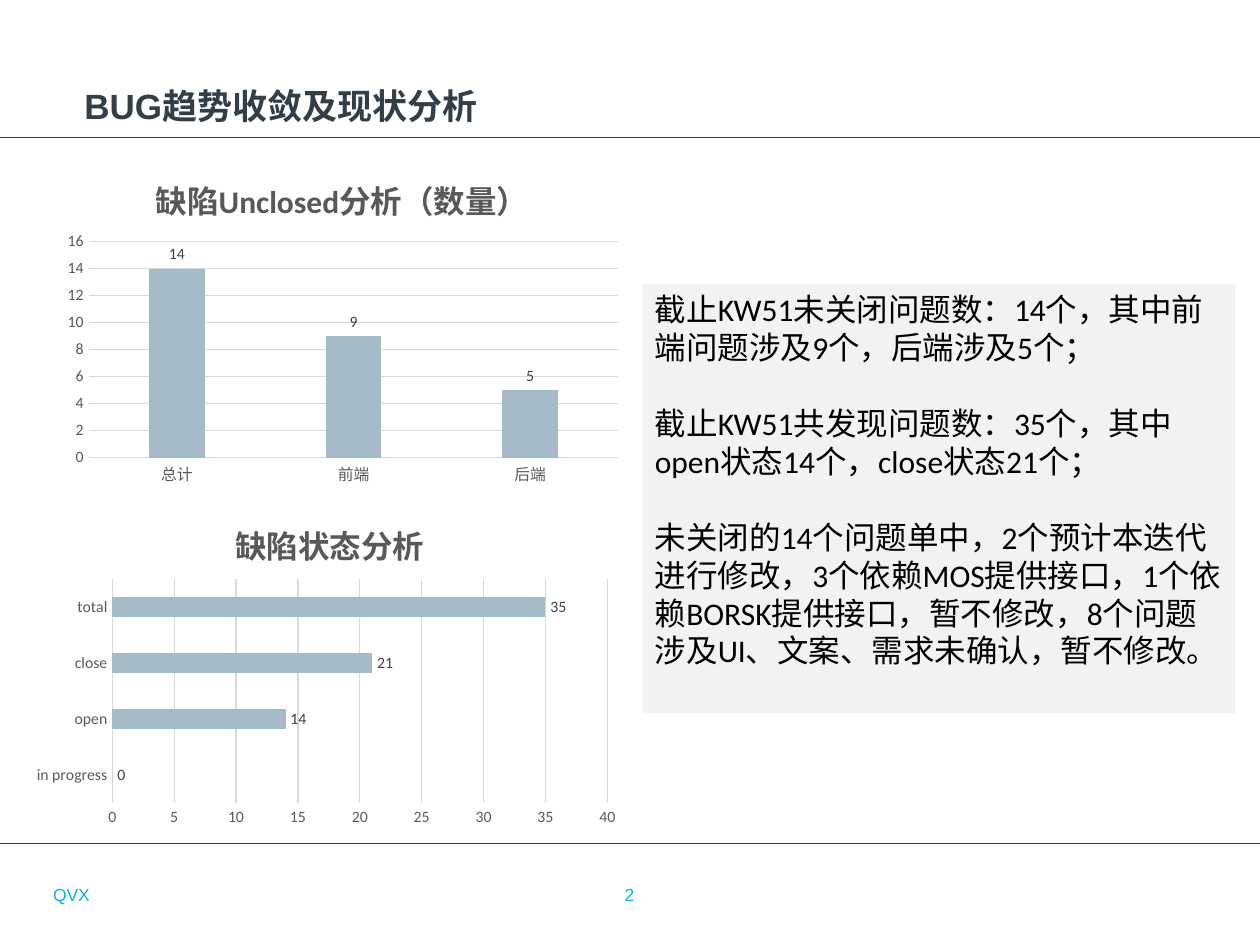
from lxml.etree import SubElement, Element
from pptx import Presentation
from pptx.chart.data import CategoryChartData
from pptx.dml.color import RGBColor
from pptx.enum.chart import XL_CHART_TYPE as ChartType, XL_LABEL_POSITION as LabelPos, XL_TICK_MARK as Tick
from pptx.enum.shapes import MSO_CONNECTOR as Connector
from pptx.enum.text import MSO_ANCHOR as Anchor, MSO_AUTO_SIZE as AutoSize, PP_ALIGN as Align
from pptx.oxml.ns import qn
from pptx.util import Cm, Pt

COLORS = {"navy": "333F48", "cyan": "00B5E2", "panel": "F2F2F2", "black": "000000",
          "grey": "595959", "grid": "D9D9D9", "label": "404040", "bar": "A6BBC8"}
SLIDE_WIDTH, SLIDE_HEIGHT = 25.4, 19.05


class SlideBuilder:
    def __init__(self, deck):
        self.slide = deck.slides.add_slide(deck.slide_layouts[5])
        self.heading_font = "Arial"
        self.body_font = "Calibri"

    def color(self, name):
        return RGBColor.from_string(COLORS[name])

    def style(self, font, face, size, color, bold=False):
        font.name, font.size, font.bold = face, Pt(size), bold
        font.color.rgb = self.color(color)

    def clear_margins(self, frame):
        frame.margin_left = frame.margin_right = frame.margin_top = frame.margin_bottom = 0
        frame.vertical_anchor = Anchor.MIDDLE
        frame.word_wrap = True
        frame.auto_size = AutoSize.NONE

    def rule(self, y):
        line = self.slide.shapes.add_connector(Connector.STRAIGHT, 0, Cm(y), Cm(SLIDE_WIDTH), Cm(y))
        line.line.color.rgb = self.color("navy")
        line.line.width = Pt(0.25)
        SubElement(line._element.spPr, qn("a:effectLst"))

    def title(self, text, box):
        heading = self.slide.shapes.title
        heading.left, heading.top, heading.width, heading.height = map(Cm, box)
        frame = heading.text_frame
        frame.text = text
        self.clear_margins(frame)
        frame.paragraphs[0].alignment = Align.LEFT
        self.style(frame.paragraphs[0].runs[0].font, self.heading_font, 20, "navy", True)

    def footer(self, text, box, align):
        frame = self.slide.shapes.add_textbox(*map(Cm, box)).text_frame
        frame.text = text
        self.clear_margins(frame)
        frame.paragraphs[0].alignment = align
        self.style(frame.paragraphs[0].runs[0].font, self.heading_font, 10, "cyan")

    def panel(self, statements, box):
        summary = self.slide.shapes.add_textbox(*map(Cm, box))
        summary.fill.solid()
        summary.fill.fore_color.rgb = self.color("panel")
        frame = summary.text_frame
        frame.word_wrap = True
        frame.text = "\n".join(statements)
        for index, paragraph in enumerate(frame.paragraphs):
            paragraph.space_before = Pt(22 if index else 0)
            self.style(paragraph.runs[0].font, self.body_font, 18, "black")

    def chart(self, kind, title, values, box, plot_area, peak, step, gap, overlap=0):
        data = CategoryChartData()
        data.categories = list(values)
        data.add_series("Series 1", list(values.values()))
        chart = self.slide.shapes.add_chart(kind, *map(Cm, box), data).chart
        self.style(chart.font, self.body_font, 10, "black")
        chart.has_legend = False
        chart.has_title = True
        chart.chart_title.text_frame.text = title
        self.style(chart.chart_title.text_frame.paragraphs[0].runs[0].font,
                   self.body_font, 18, "grey", True)

        for axis in (chart.category_axis, chart.value_axis):
            axis.major_tick_mark = axis.minor_tick_mark = Tick.NONE
            self.style(axis.tick_labels.font, self.body_font, 9, "grey")
        chart.value_axis.minimum_scale = 0
        chart.value_axis.maximum_scale = peak
        chart.value_axis.major_unit = step
        chart.value_axis.format.line.fill.background()
        chart.value_axis.has_major_gridlines = True
        chart.category_axis.has_major_gridlines = False
        for line in (chart.category_axis.format.line, chart.value_axis.major_gridlines.format.line):
            line.color.rgb = self.color("grid")
            line.width = Pt(0.75)

        plot = chart.plots[0]
        plot.gap_width, plot.overlap, plot.vary_by_categories = gap, overlap, False
        fill = plot.series[0].format.fill
        fill.solid()
        fill.fore_color.rgb = self.color("bar")
        plot.has_data_labels = True
        plot.data_labels.show_value = True
        plot.data_labels.position = LabelPos.OUTSIDE_END
        self.style(plot.data_labels.font, self.body_font, 9, "label")
        self.place_plot(chart, plot_area)

    def place_plot(self, chart, fractions):
        area = chart._chartSpace.find(".//" + qn("c:plotArea"))
        for old in area.findall(qn("c:layout")):
            area.remove(old)
        layout = Element(qn("c:layout"))
        area.insert(0, layout)
        manual = SubElement(layout, qn("c:manualLayout"))
        settings = [("layoutTarget", "inner"), ("xMode", "edge"), ("yMode", "edge"),
                    *zip("xywh", fractions)]
        for tag, value in settings:
            SubElement(manual, qn("c:" + tag)).set("val", str(value))


def main():
    deck = Presentation()
    deck.slide_width, deck.slide_height = Cm(SLIDE_WIDTH), Cm(SLIDE_HEIGHT)
    page = SlideBuilder(deck)

    for y in (16.99, 2.76):
        page.rule(y)
    page.footer("QVX", (1.07, 17.63, 7.8, 0.79), Align.LEFT)
    page.footer("2", (9.73, 17.63, 5.92, 0.79), Align.CENTER)
    page.title("BUG趋势收敛及现状分析", (1.7, 1.35, 20.32, 1.57))
    page.panel([
        "截止KW51未关闭问题数：14个，其中前端问题涉及9个，后端涉及5个；",
        "截止KW51共发现问题数：35个，其中open状态14个，close状态21个；",
        "未关闭的14个问题单中，2个预计本迭代进行修改，3个依赖MOS提供接口，"
        "1个依赖BORSK提供接口，暂不修改，8个问题涉及UI、文案、需求未确认，暂不修改。",
    ], (12.95, 5.72, 11.96, 8.66))
    page.chart(ChartType.COLUMN_CLUSTERED, "缺陷Unclosed分析（数量）",
               {"总计": 14, "前端": 9, "后端": 5}, (1.09, 3.1, 11.61, 6.81),
               (0.06, 0.26, 0.92, 0.64), peak=16, step=2, gap=219, overlap=-27)
    page.chart(ChartType.BAR_CLUSTERED, "缺陷状态分析",
               {"in progress": 0, "open": 14, "close": 21, "total": 35}, (0.56, 10.06, 12.17, 6.73),
               (0.14, 0.24, 0.82, 0.67), peak=40, step=5, gap=182)
    deck.save("out.pptx")


if __name__ == "__main__":
    main()
